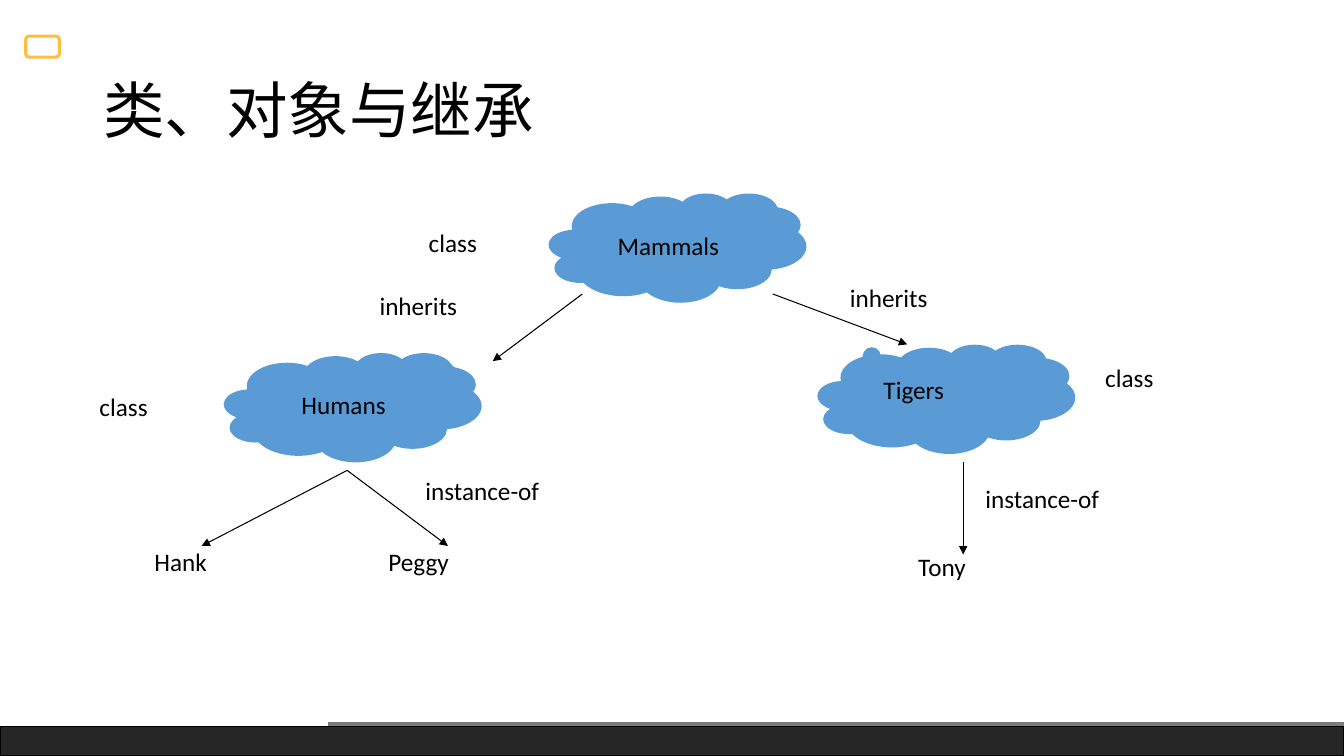
from lxml import etree
from pptx import Presentation
from pptx.dml.color import RGBColor
from pptx.enum.shapes import MSO_CONNECTOR, MSO_SHAPE
from pptx.enum.text import MSO_ANCHOR, MSO_AUTO_SIZE, PP_ALIGN
from pptx.oxml.ns import qn
from pptx.util import Inches, Pt

STRAIGHT = MSO_CONNECTOR.STRAIGHT
CLOUD = MSO_SHAPE.CLOUD_CALLOUT
RECTANGLE = MSO_SHAPE.RECTANGLE
ROUNDED = MSO_SHAPE.ROUNDED_RECTANGLE
MIDDLE = MSO_ANCHOR.MIDDLE
CENTER, LEFT = PP_ALIGN.CENTER, PP_ALIGN.LEFT
FIT_TEXT = MSO_AUTO_SIZE.SHAPE_TO_FIT_TEXT

WIDTH, HEIGHT = Inches(13.34), Inches(7.5)
COLUMNS, ROWS = 120, 90
CLOUD_SIZE = (23, 13)
LABEL_ROWS = 4.8
FONT = "Calibri"
BLACK, BLUE = "000000", "5B9BD5"

CLOUDS = [
    ("Mammals", 49, 23, (0.267, -0.285)),
    ("Humans", 20, 42, (0.323, -0.282)),
    ("", 73, 41, (-0.253, -0.341)),
]
ARROWS = [
    (52, 35, 44, 43),
    (69, 35, 81, 41),
    (31, 56, 18, 65),
    (31, 56, 40, 65),
    (86, 55, 86, 66),
]
LABELS = [
    ("Tigers", 78, 44, 7.2),
    ("Hank", 12.9, 64.5, 6.5),
    ("Peggy", 33.8, 64.5, 7.2),
    ("Tony", 81.1, 65, 6.3),
    ("class", 37.4, 26.5, 6.1),
    ("class", 8, 46, 10.2),
    ("class", 97.8, 42.6, 6.1),
    ("inherits", 33, 34, 8.7),
    ("inherits", 75, 33, 8.7),
    ("instance-of", 87.1, 57, 12),
    ("instance-of", 37.1, 56, 12),
]


def color(hex_value):
    """Turn a hex string into a colour."""
    return RGBColor.from_string(hex_value)


def grid(*lengths):
    """Turn alternating columns and rows into slide lengths."""
    units = (WIDTH / COLUMNS, HEIGHT / ROWS)
    return [round(length * units[index % 2]) for index, length in enumerate(lengths)]


def write(paragraph, text, size, alignment=LEFT):
    """Add one black run to a paragraph."""
    paragraph.alignment = alignment
    run = paragraph.add_run()
    run.text = text
    run.font.name = FONT
    run.font.size = Pt(size)
    run.font.color.rgb = color(BLACK)


def add_title(slide, text):
    """Place and fill the title placeholder."""
    title = slide.shapes.title
    title.left, title.top, title.width, title.height = grid(8.3, 4.8, 103.5, 17.4)
    title.text_frame.vertical_anchor = MIDDLE
    paragraph = title.text_frame.paragraphs[0]
    paragraph.line_spacing = 0.9
    write(paragraph, text, 44)


def add_block(slide, kind, box, fill=None, line=None, weight=1):
    """Add a preset shape with optional fill and outline."""
    shape = slide.shapes.add_shape(kind, *grid(*box))
    shape.shadow.inherit = False
    if fill:
        shape.fill.solid()
        shape.fill.fore_color.rgb = color(fill)
    else:
        shape.fill.background()
    if line:
        shape.line.color.rgb = color(line)
        shape.line.width = Pt(weight)
    else:
        shape.line.fill.background()
    return shape


def add_cloud(slide, text, column, row, tail):
    """Add a class cloud whose small bubble sits at the tail."""
    cloud = add_block(slide, CLOUD, (column, row, *CLOUD_SIZE), fill=BLUE)
    for index, offset in enumerate(tail):
        cloud.adjustments[index] = offset
    if text:
        frame = cloud.text_frame
        frame.word_wrap = False
        frame.vertical_anchor = MIDDLE
        write(frame.paragraphs[0], text, 18, CENTER)


def add_label(slide, text, column, row, columns):
    """Add a single-line label."""
    box = slide.shapes.add_textbox(*grid(column, row, columns, LABEL_ROWS))
    box.text_frame.word_wrap = False
    box.text_frame.auto_size = FIT_TEXT
    write(box.text_frame.paragraphs[0], text, 18)


def add_line(slide, ends, line, weight, arrow=False):
    """Add a straight line, with an arrowhead if asked."""
    connector = slide.shapes.add_connector(STRAIGHT, *grid(*ends))
    connector.line.color.rgb = color(line)
    connector.line.width = Pt(weight)
    if arrow:
        outline = connector.line._get_or_add_ln()
        etree.SubElement(outline, qn("a:tailEnd"), type="triangle")
    etree.SubElement(connector._element.spPr, qn("a:effectLst"))


def main():
    """Build the class diagram slide."""
    presentation = Presentation()
    presentation.slide_width, presentation.slide_height = WIDTH, HEIGHT
    slide = presentation.slides.add_slide(presentation.slide_layouts[5])
    add_block(slide, RECTANGLE, (0, 86.5, COLUMNS, 3.5), fill="262626", line=BLACK)
    add_line(slide, (29.25, 86.2, COLUMNS, 86.2), "7C7C7C", 3)
    add_block(slide, ROUNDED, (2.3, 4.3, 3, 2.5), line="FFBE3F", weight=2.25)
    add_title(slide, "类、对象与继承")
    for cloud in CLOUDS:
        add_cloud(slide, *cloud)
    for ends in ARROWS:
        add_line(slide, ends, BLACK, 0.75, arrow=True)
    for label in LABELS:
        add_label(slide, *label)
    presentation.save("out.pptx")


if __name__ == "__main__":
    main()
